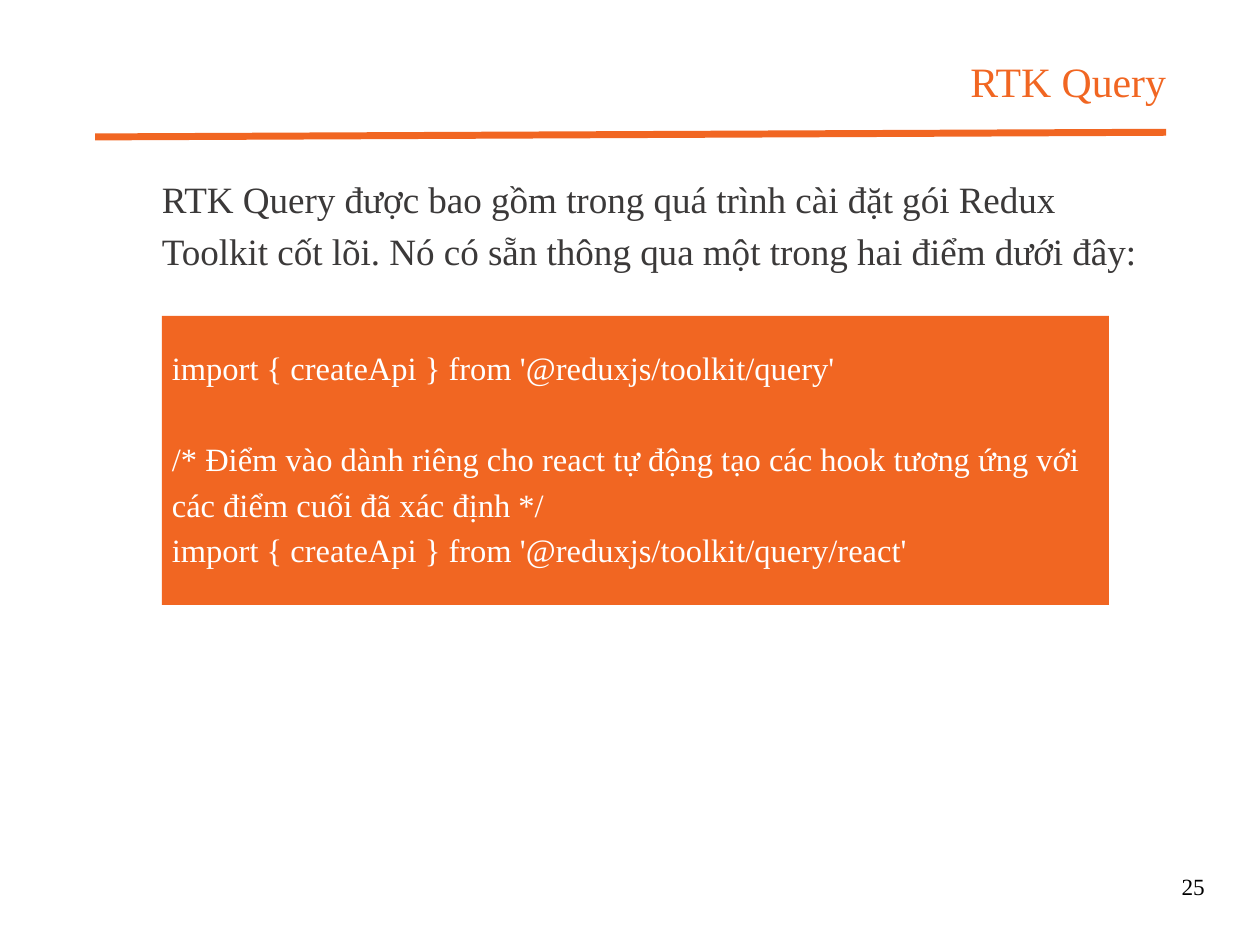
from pptx import Presentation
from pptx.dml.color import RGBColor
from pptx.enum.shapes import MSO_CONNECTOR as CONN, MSO_SHAPE as SHAPE
from pptx.enum.text import MSO_ANCHOR as ANCHOR, MSO_AUTO_SIZE as FIT, PP_ALIGN as ALIGN
from pptx.oxml.ns import qn
from pptx.util import Pt

FONT = "Times New Roman"
ORANGE, WHITE, GREY, BLACK = "F16622", "FFFFFF", "3B3939", "000000"
LEADING = 1.4  # line spacing as a multiple of the font size


def rgb(code):
    return RGBColor.from_string(code)


def place(s, left, top, width, height):
    s.left, s.top, s.width, s.height = Pt(left), Pt(top), Pt(width), Pt(height)


def frame(s, insets=(0, 0, 0, 0), anchor=ANCHOR.TOP):
    tf = s.text_frame
    tf.word_wrap, tf.auto_size, tf.vertical_anchor = True, FIT.NONE, anchor
    tf.margin_left, tf.margin_top, tf.margin_right, tf.margin_bottom = map(Pt, insets)
    return tf


def write(p, text, size, color, align=ALIGN.LEFT, before=0):
    pPr = p._p.get_or_add_pPr()
    pPr.set("marL", "0")
    pPr.set("indent", "0")
    p.alignment = align
    p.line_spacing = Pt(size * LEADING)
    p.space_before, p.space_after = Pt(before), Pt(0)
    pPr.append(pPr.makeelement(qn("a:buNone"), {}))
    r = p.add_run()
    r.text = text
    r.font.name, r.font.size = FONT, Pt(size)
    r.font.color.rgb = rgb(color)


def add_rule(slide, x1, y1, x2, y2):
    s = slide.shapes.add_connector(CONN.STRAIGHT, Pt(x1), Pt(y1), Pt(x2), Pt(y2))
    s.line.color.rgb, s.line.width = rgb(ORANGE), Pt(3)
    spPr = s._element.spPr
    spPr.append(spPr.makeelement(qn("a:effectLst"), {}))


def add_code(slide, left, top, width, height, lines):
    s = slide.shapes.add_shape(SHAPE.RECTANGLE, Pt(left), Pt(top), Pt(width), Pt(height))
    s.shadow.inherit = False
    s.fill.solid()
    s.fill.fore_color.rgb = rgb(ORANGE)
    s.line.fill.background()
    tf = frame(s, (4.3, 4.3, 4.3, 8.6), ANCHOR.MIDDLE)
    for i, (text, before) in enumerate(lines):
        p = tf.add_paragraph() if i else tf.paragraphs[0]
        write(p, text, 14, WHITE, before=before)


def main():
    prs = Presentation()
    prs.slide_width, prs.slide_height = Pt(543), Pt(408)
    slide = prs.slides.add_slide(prs.slide_layouts[1])
    title, body = slide.placeholders

    # Title and rule
    place(title, 152, 20.2, 350.6, 25.2)
    write(frame(title).paragraphs[0], "RTK Query", 18, ORANGE, ALIGN.RIGHT)
    add_rule(slide, 41, 59, 502.6, 57)

    # Introduction
    place(body, 69.8, 72.7, 433.4, 60)
    write(frame(body).paragraphs[0],
          "RTK Query được bao gồm trong quá trình cài đặt gói Redux Toolkit cốt lõi. "
          "Nó có sẵn thông qua một trong hai điểm dưới đây:", 16, GREY)

    # Code block: text and space before each paragraph
    add_code(slide, 69.8, 136.1, 408.2, 124.6, [
        ("import { createApi } from '@reduxjs/toolkit/query'", 0),
        ("/* Điểm vào dành riêng cho react tự động tạo các hook "
         "tương ứng với các điểm cuối đã xác định */", 14 * LEADING),
        ("import { createApi } from '@reduxjs/toolkit/query/react'", 0),
    ])

    # Page number
    number = slide.shapes.add_textbox(Pt(502.6), Pt(373.7), Pt(16.6), Pt(14.4))
    write(frame(number).paragraphs[0], "25", 10, BLACK, ALIGN.RIGHT)

    prs.save("out.pptx")


if __name__ == "__main__":
    main()
